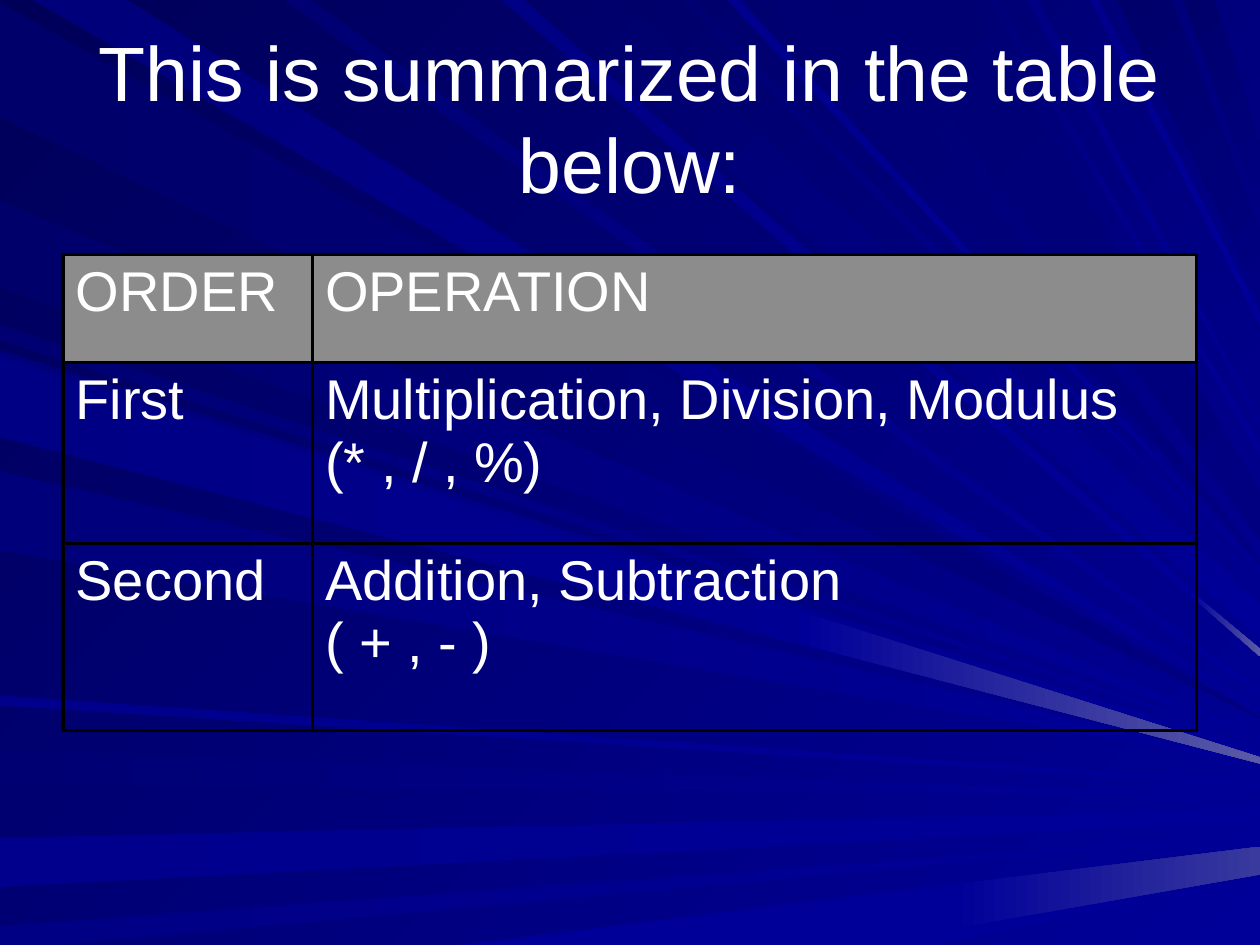
"""Build the operator precedence slide with its ray background and table."""
from enum import Enum
from typing import NamedTuple

from lxml.etree import SubElement
from pptx import Presentation
from pptx.dml.color import RGBColor
from pptx.dml.fill import FillFormat
from pptx.enum.text import MSO_ANCHOR, PP_ALIGN
from pptx.oxml.ns import qn
from pptx.shapes.shapetree import GroupShapes
from pptx.slide import Slide
from pptx.table import _Cell
from pptx.text.text import _Paragraph
from pptx.util import Pt

PX = 9144
WIDTH, HEIGHT = 1000, 750
FONT = "Arial"
COLORS = {
    "text": "FFFFFF",
    "border": "000000",
    "header": "8C8C8C",
    "bg_start": "000058",
    "bg_end": "000099",
    "dark": "00006B",
    "deep": "000073",
    "dim": "00007B",
    "mid": "000080",
    "soft": "000085",
    "light": "00008C",
    "blue": "000099",
    "glow": "5A5AA6",
    "faint": "39399E",
}


class Edge(Enum):
    LEFT = 0
    TOP = 45
    BOTTOM = 90


class Ray(NamedTuple):
    edge: Edge
    start: int
    stop: int
    tip: int
    depth: int = 1
    color: str = "deep"
    end: str = "blue"


class Glow(NamedTuple):
    x: int
    y: int
    depth: int
    tip: int
    tip_depth: int
    color: str


class Row(NamedTuple):
    height: int
    order: str
    operation: str
    fill: str | None = None


RAYS = [
    Ray(Edge.LEFT, 2, 93, 569, color="dark", end="mid"),
    Ray(Edge.TOP, 26, 101, 562, color="dim"),
    Ray(Edge.LEFT, 596, 623, 631),
    Ray(Edge.LEFT, 665, 704, 643, 8, "light"),
    Ray(Edge.LEFT, 735, 754, 662, color="soft"),
    Ray(Edge.BOTTOM, 364, 742, 672, 22, "blue"),
    Ray(Edge.LEFT, 258, 270, 588),
    Ray(Edge.LEFT, 159, 228, 584, color="dark"),
    Ray(Edge.TOP, 398, 416, 515, 6, "soft"),
    Ray(Edge.TOP, 426, 492, 479, 28, "dark"),
    Ray(Edge.TOP, 540, 552, 462),
    Ray(Edge.TOP, 606, 661, 445, end="mid"),
    Ray(Edge.TOP, 887, 930, 183, 54, "dark", "mid"),
    Ray(Edge.TOP, 939, 964, 114, 53, "dark", "mid"),
    Ray(Edge.LEFT, 278, 342, 596, 6, "dim"),
    Ray(Edge.LEFT, 374, 437, 605, color="dim"),
    Ray(Edge.LEFT, 552, 560, 621, 2, "light"),
    Ray(Edge.TOP, 225, 247, 547, 5),
    Ray(Edge.TOP, 577, 588, 453, color="light"),
    Ray(Edge.TOP, 686, 770, 390, 38, end="mid"),
    Ray(Edge.TOP, 785, 792, 354, 6, "dim"),
    Ray(Edge.TOP, 815, 824, 335, color="soft"),
    Ray(Edge.TOP, 865, 872, 249, 9, "light"),
    Ray(Edge.LEFT, 283, 347, 601, 5, "soft"),
]
GLOWS = [
    Glow(756, 702, 35, 672, 22, "faint"),
    Glow(945, 469, 4, 515, 6, "glow"),
    Glow(635, 485, 26, 601, 5, "glow"),
]

COLUMNS = [198, 702]
ROWS = [
    Row(86, "ORDER", "OPERATION", "header"),
    Row(143, "First", "Multiplication, Division, Modulus\n(* , / , %)"),
    Row(149, "Second", "Addition, Subtraction\n( + , - )"),
]


def paint(fill: FillFormat, start: str, end: str, angle: int) -> None:
    """Fill with a clockwise gradient of two named colours."""
    fill.gradient()
    fill.gradient_angle = -angle % 360
    for stop, color in zip(fill.gradient_stops, (start, end)):
        stop.color.rgb = RGBColor.from_string(COLORS[color])


def style(p: _Paragraph, size: int) -> None:
    """Format the runs of a paragraph."""
    for r in p.runs:
        r.font.size = Pt(size)
        r.font.name = FONT
        r.font.color.rgb = RGBColor.from_string(COLORS["text"])


def add_beam(shapes: GroupShapes, upper: tuple[int, int], lower: tuple[int, int],
             tip: int, depth: int, colors: tuple[str, str], angle: int) -> None:
    """Draw a beam from two points to the right edge of the slide."""
    builder = shapes.build_freeform(*upper, scale=PX)
    builder.add_line_segments([(WIDTH, tip), (WIDTH, tip + depth), lower], close=True)
    sp = builder.convert_to_shape()
    sp.shadow.inherit = False
    sp.line.fill.background()
    paint(sp.fill, *colors, angle)


def add_background(s: Slide) -> None:
    """Draw the rays and their glowing ends as one group."""
    paint(s.background.fill, "bg_start", "bg_end", 45)
    shapes = s.shapes.add_group_shape().shapes
    for ray in RAYS:
        upper, lower = {
            Edge.LEFT: ((0, ray.start), (0, ray.stop)),
            Edge.TOP: ((ray.stop, 0), (ray.start, 0)),
            Edge.BOTTOM: ((ray.start, HEIGHT), (ray.stop, HEIGHT)),
        }[ray.edge]
        add_beam(shapes, upper, lower, ray.tip, ray.depth, (ray.color, ray.end), ray.edge.value)
    for glow in GLOWS:
        upper, lower = (glow.x, glow.y), (glow.x, glow.y + glow.depth)
        add_beam(shapes, upper, lower, glow.tip, glow.tip_depth, ("blue", glow.color), 0)


def add_title(s: Slide, text: str) -> None:
    """Place the title in front of the rays."""
    sp = s.shapes.title
    sp.element.getparent().append(sp.element)
    sp.left, sp.top, sp.width, sp.height = (v * PX for v in (50, 30, 900, 125))
    tf = sp.text_frame
    tf.text = text
    tf.word_wrap = True
    tf.vertical_anchor = MSO_ANCHOR.MIDDLE
    p = tf.paragraphs[0]
    p.alignment = PP_ALIGN.CENTER
    style(p, 44)


def format_cell(cell: _Cell, text: str, fill: str | None) -> None:
    """Set the text, borders and fill of a table cell."""
    cell.text_frame.text = text
    for p in cell.text_frame.paragraphs:
        pPr = p._p.get_or_add_pPr()
        pPr.set("marL", str(38 * PX))
        pPr.set("indent", str(-38 * PX))
        style(p, 32)
    tcPr = cell._tc.get_or_add_tcPr()
    for side in ("lnL", "lnR", "lnT", "lnB"):
        ln = SubElement(tcPr, qn(f"a:{side}"), w=str(Pt(2)))
        solid = SubElement(ln, qn("a:solidFill"))
        SubElement(solid, qn("a:srgbClr"), val=COLORS["border"])
    if fill:
        cell.fill.solid()
        cell.fill.fore_color.rgb = RGBColor.from_string(COLORS[fill])
    else:
        cell.fill.background()


def add_operations(s: Slide) -> None:
    """Add the table of operations by order."""
    box = (v * PX for v in (50, 202, sum(COLUMNS), sum(row.height for row in ROWS)))
    table = s.shapes.add_table(len(ROWS), len(COLUMNS), *box).table
    table.first_row = table.horz_banding = False
    for column, width in zip(table.columns, COLUMNS):
        column.width = width * PX
    for i, row in enumerate(ROWS):
        table.rows[i].height = row.height * PX
        for j, text in enumerate((row.order, row.operation)):
            format_cell(table.cell(i, j), text, row.fill)


prs = Presentation()
prs.slide_width, prs.slide_height = WIDTH * PX, HEIGHT * PX
s = prs.slides.add_slide(prs.slide_layouts[5])
add_background(s)
add_title(s, "This is summarized in the table below:")
add_operations(s)
prs.save("out.pptx")
